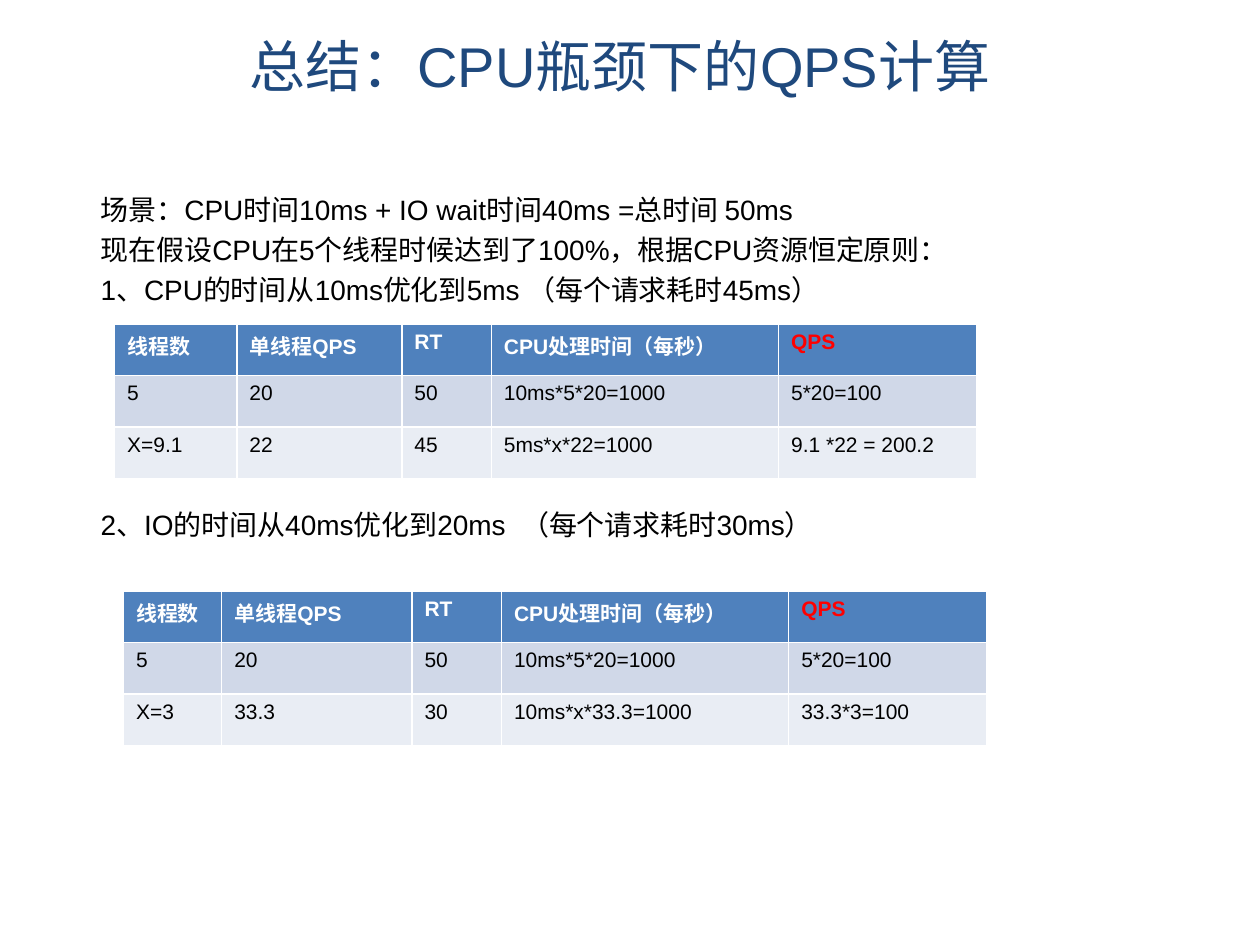
from dataclasses import dataclass

from pptx import Presentation
from pptx.dml.color import RGBColor
from pptx.enum.text import MSO_ANCHOR, PP_ALIGN
from pptx.util import Inches, Pt


@dataclass(frozen=True)
class Theme:
    """Colours, font and type sizes of the slide."""
    font: str = "Arial"
    title: str = "1F497D"
    text: str = "000000"
    header_text: str = "FFFFFF"
    accent: str = "FF0000"
    header_fill: str = "4F81BD"
    row_fills: tuple = ("D0D8E8", "E9EDF4")
    title_size: int = 32
    body_size: int = 16
    table_size: int = 12


THEME = Theme()
HEADER = ["线程数", "单线程QPS", "RT", "CPU处理时间（每秒）", "QPS"]
BASELINE = ["5", "20", "50", "10ms*5*20=1000", "5*20=100"]
LINE_GAP, TABLE_GAP = 3.7, 115
ROW_HEIGHT = 0.41


def add_run(p, text, size, color, bold=False):
    """Add one formatted run to a paragraph."""
    r = p.add_run()
    r.text = text
    r.font.name = THEME.font
    r.font.size = Pt(size)
    r.font.bold = bold
    r.font.color.rgb = RGBColor.from_string(color)


def set_title(s, text):
    """Place and fill the title placeholder."""
    sp = s.shapes.title
    sp.left, sp.top, sp.width, sp.height = map(Inches, (0.67, 0.13, 8.5, 0.78))
    tf = sp.text_frame
    tf.vertical_anchor = MSO_ANCHOR.MIDDLE
    p = tf.paragraphs[0]
    p.alignment = PP_ALIGN.CENTER
    add_run(p, text, THEME.title_size, THEME.title)


def add_body(s, lines):
    """Add the explanation from pairs of text and space before."""
    sp = s.shapes.add_textbox(*map(Inches, (0.7, 1.48, 8.52, 5.08)))
    tf = sp.text_frame
    tf.word_wrap = True
    for i, (text, gap) in enumerate(lines):
        p = tf.add_paragraph() if i else tf.paragraphs[0]
        p.space_before = Pt(gap)
        add_run(p, text, THEME.body_size, THEME.text)


def fill_cell(cell, text, fill, color, bold):
    """Fill one table cell with colour and text."""
    cell.fill.solid()
    cell.fill.fore_color.rgb = RGBColor.from_string(fill)
    add_run(cell.text_frame.paragraphs[0], text, THEME.table_size, color, bold)


def add_qps_table(s, left, top, widths, optimised):
    """Add a table comparing the baseline with an optimised case."""
    rows = [HEADER, BASELINE, optimised]
    fills = [THEME.header_fill, *THEME.row_fills]
    table = s.shapes.add_table(
        len(rows), len(widths), Inches(left), Inches(top),
        Inches(sum(widths)), Inches(ROW_HEIGHT * len(rows))).table
    for column, width in zip(table.columns, widths):
        column.width = Inches(width)
    for i, (values, fill) in enumerate(zip(rows, fills)):
        table.rows[i].height = Inches(ROW_HEIGHT)
        for j, text in enumerate(values):
            color = THEME.text
            if i == 0:
                color = THEME.accent if text == "QPS" else THEME.header_text
            fill_cell(table.cell(i, j), text, fill, color, i == 0)


def main():
    """Build and save the slide."""
    prs = Presentation()
    prs.slide_width, prs.slide_height = Inches(10), Inches(7.5)
    s = prs.slides.add_slide(prs.slide_layouts[5])
    set_title(s, "总结：CPU瓶颈下的QPS计算")
    add_body(s, [
        ("场景：CPU时间10ms + IO wait时间40ms =总时间 50ms", LINE_GAP),
        ("现在假设CPU在5个线程时候达到了100%，根据CPU资源恒定原则：", LINE_GAP),
        ("1、CPU的时间从10ms优化到5ms （每个请求耗时45ms）", LINE_GAP),
        ("2、IO的时间从40ms优化到20ms  （每个请求耗时30ms）", TABLE_GAP),
    ])
    add_qps_table(s, 0.91, 2.57, [0.97, 1.31, 0.71, 2.28, 1.57],
                  ["X=9.1", "22", "45", "5ms*x*22=1000", "9.1 *22 = 200.2"])
    add_qps_table(s, 0.98, 4.69, [0.78, 1.51, 0.71, 2.28, 1.57],
                  ["X=3", "33.3", "30", "10ms*x*33.3=1000", "33.3*3=100"])
    prs.save("out.pptx")


if __name__ == "__main__":
    main()
